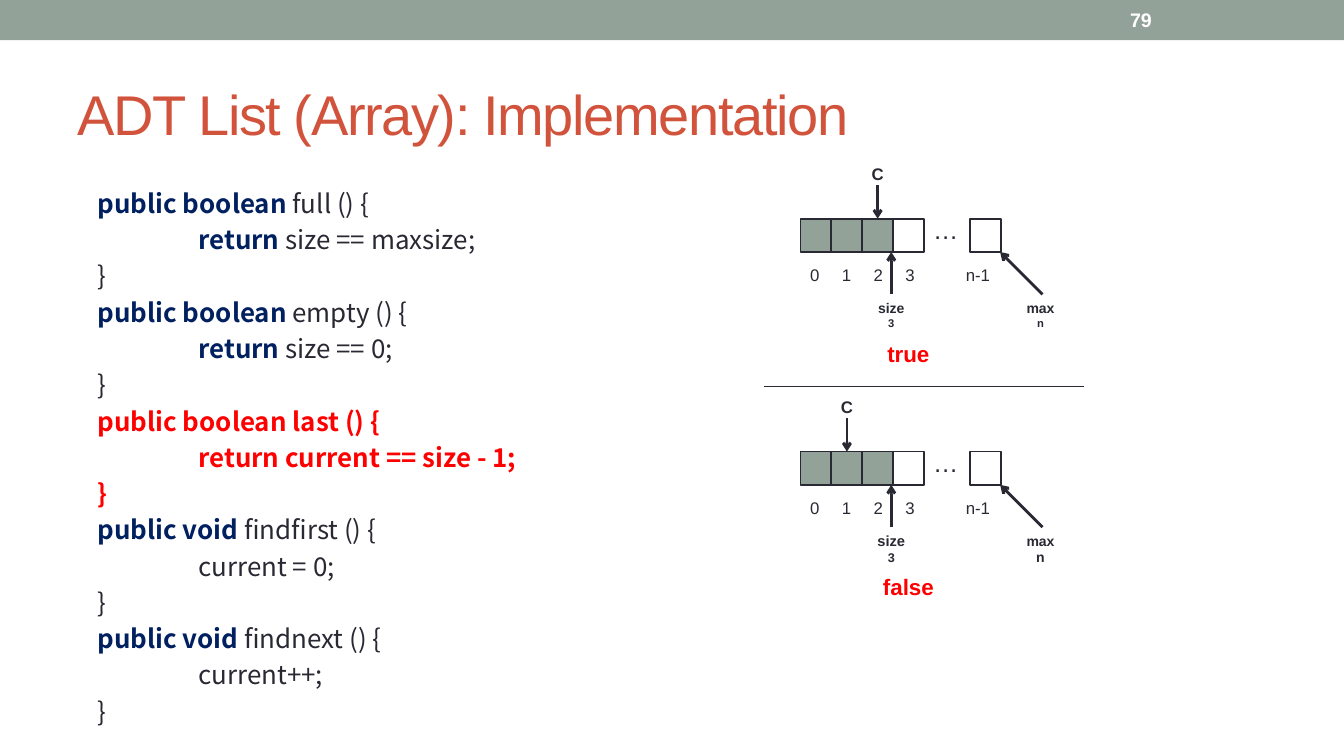
from lxml import etree
from pptx import Presentation
from pptx import util as u
from pptx.dml.color import RGBColor
from pptx.enum import shapes, text
from pptx.oxml.ns import qn

INK, SAGE, WHITE = "292934", "93A299", "FFFFFF"
NAVY, RED, RUST = "002060", "FF0000", "D2533C"
CODE_FONT = "Noto Sans CJK SC"


def method(signature, name, body):
    """Three code lines, each an indent level and (text, colour, bold) runs."""
    return [(0, [(signature, NAVY, True), (name, INK, False)]),
            (1, body),
            (0, [("}", INK, False)])]


CODE = [
    *method("public boolean ", "full () {",
            [("return", NAVY, True), (" size == maxsize;", INK, False)]),
    *method("public boolean ", "empty () {",
            [("return", NAVY, True), (" size == 0;", INK, False)]),
    (0, [("public boolean last () {", RED, True)]),
    (1, [("return current == size - 1;", RED, True)]),
    (0, [("}", RED, True)]),
    *method("public void ", "findfirst () {", [("current = 0;", INK, False)]),
    *method("public void ", "findnext () {", [("current++;", INK, False)]),
]


def rgb(value):
    return RGBColor.from_string(value)


def style(run, size, color=INK, bold=False, font="Arial"):
    run.font.name = font
    run.font.size = u.Pt(size)
    run.font.bold = bold
    run.font.color.rgb = rgb(color)


def add_text(slide, left, top, width, height, wrap=True):
    box = slide.shapes.add_textbox(*map(u.Inches, (left, top, width, height)))
    box.text_frame.word_wrap = wrap
    return box.text_frame


def add_label(slide, center, top, lines, color=INK, bold=False, width=0.5):
    """Centred label; lines holds (text, size) pairs."""
    frame = add_text(slide, center - width / 2, top, width, 0.3, wrap=False)
    for index, (words, size) in enumerate(lines):
        paragraph = frame.paragraphs[0] if index == 0 else frame.add_paragraph()
        paragraph.text = words
        paragraph.alignment = text.PP_ALIGN.CENTER
        style(paragraph.runs[0], size, color, bold)


def add_rectangle(slide, left, top, width, height, fill, line=None):
    shape = slide.shapes.add_shape(
        shapes.MSO_SHAPE.RECTANGLE, *map(u.Inches, (left, top, width, height)))
    shape.shadow.inherit = False
    shape.fill.solid()
    shape.fill.fore_color.rgb = rgb(fill)
    if line:
        shape.line.color.rgb = rgb(line)
        shape.line.width = u.Pt(1.25)
    else:
        shape.line.fill.background()
    return shape


def add_line(slide, start, end, width, arrow=False):
    line = slide.shapes.add_connector(
        shapes.MSO_CONNECTOR.STRAIGHT, *map(u.Inches, (*start, *end)))
    line.line.color.rgb = rgb(INK)
    line.line.width = u.Pt(width)
    properties = line._element.spPr
    if arrow:
        etree.SubElement(properties.find(qn("a:ln")), qn("a:tailEnd"), type="arrow")
    etree.SubElement(properties, qn("a:effectLst"))
    return line


def add_header(slide):
    add_rectangle(slide, 0, 0, 13.33, 0.4, SAGE)
    number = add_text(slide, 11.11, 0.02, 1.56, 0.36)
    title = add_text(slide, 0.67, 0.58, 12, 1.08)
    for frame, words, size, color, bold in (
            (number, "79", 14, WHITE, True),
            (title, "ADT List (Array): Implementation", 40, RUST, False)):
        frame.text = words
        frame.vertical_anchor = text.MSO_ANCHOR.MIDDLE
        style(frame.paragraphs[0].runs[0], size, color, bold)
    title.paragraphs[0].runs[0].font._element.set("spc", "-100")


def add_code(slide, left, top, width, height):
    frame = add_text(slide, left, top, width, height)
    for index, (level, runs) in enumerate(CODE):
        paragraph = frame.paragraphs[0] if index == 0 else frame.add_paragraph()
        paragraph.line_spacing = u.Pt(25.9)
        paragraph._p.get_or_add_pPr().set("marL", str(u.Inches(0.2 + level)))
        for words, color, bold in runs:
            run = paragraph.add_run()
            run.text = words
            style(run, 18.5, color, bold, CODE_FONT)


def add_array(slide, left, top, current, result, size_points, max_points):
    """Array diagram whose first cell has its corner at left, top."""
    cell_width, cell_height, pitch = 0.31, 0.33, 0.305
    offsets = [index * pitch for index in range(4)] + [1.68]
    cells = [add_rectangle(slide, left + offset, top, cell_width, cell_height,
                           SAGE if index < 3 else WHITE, INK)
             for index, offset in enumerate(offsets)]
    add_label(slide, left + 1.44, top - 0.09, [("…", 18)])
    for index in range(4):
        add_label(slide, left + 0.14 + index * 0.315, top + 0.41,
                  [(str(index), 12)], width=0.29)
    add_label(slide, left + 1.76, top + 0.41, [("n-1", 12)])

    current_x = left + offsets[current] + cell_width / 2
    pointer = add_line(slide, (current_x, top - 0.33), (current_x, top), 2, True)
    pointer.end_connect(cells[current], 0)
    add_label(slide, current_x, top - 0.59, [("C", 12)], bold=True)

    bottom, label_top = top + cell_height, top + 0.75
    size_x, max_x = left + 0.9, left + 1.98
    add_line(slide, (size_x, label_top), (size_x, bottom), 2, True)
    add_line(slide, (max_x + 0.42, label_top), (max_x, bottom), 2, True)
    add_label(slide, size_x, label_top, zip(("size", "3"), size_points),
              bold=True, width=0.6)
    add_label(slide, left + 2.38, label_top, zip(("max", "n"), max_points),
              bold=True, width=0.6)
    add_label(slide, left + 1.07, top + 1.16, [(result, 16)], RED, True, width=1)


def main():
    presentation = Presentation()
    presentation.slide_width = u.Inches(13.33)
    presentation.slide_height = u.Inches(7.5)
    slide = presentation.slides.add_slide(presentation.slide_layouts[6])
    add_header(slide)
    add_code(slide, 0.67, 1.76, 6.5, 5.5)
    add_array(slide, 7.94, 2.17, 2, "true", (10, 8), (10, 8))
    add_array(slide, 7.94, 4.48, 1, "false", (10.5, 9), (10, 10))
    add_line(slide, (7.58, 3.83), (10.75, 3.83), 0.75)
    presentation.save("out.pptx")


if __name__ == "__main__":
    main()
